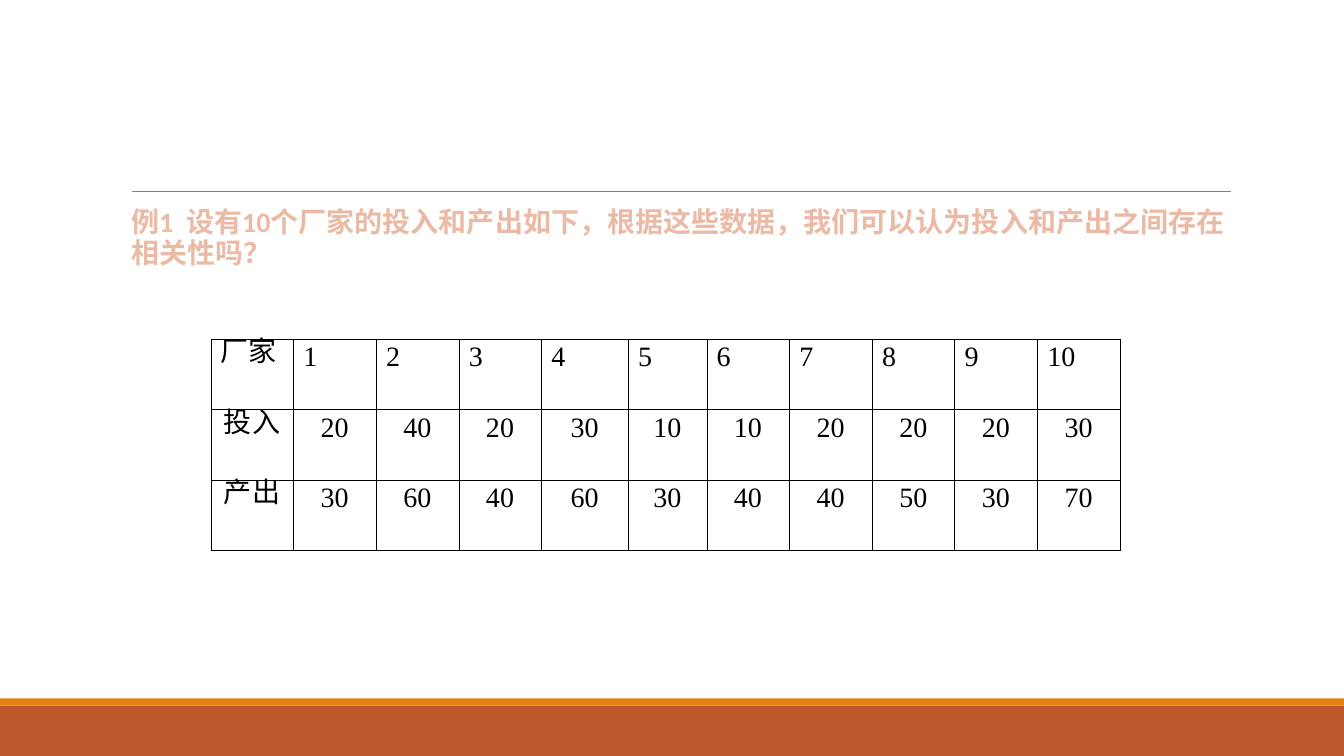
import dataclasses

import lxml.etree
import pptx
import pptx.dml.color
import pptx.enum.shapes
import pptx.enum.text
import pptx.oxml.ns
import pptx.util

Inches, Pt = pptx.util.Inches, pptx.util.Pt
qn = pptx.oxml.ns.qn
ALIGN = pptx.enum.text.PP_ALIGN


@dataclasses.dataclass(frozen=True)
class Theme:
    band: str = "BD582C"
    accent: str = "E48312"
    rule: str = "808080"
    question: str = "EABAA5"
    ink: str = "000000"
    size: float = 20
    body_font: str = "Calibri"
    chinese_font: str = "Noto Sans CJK SC"
    number_font: str = "Times New Roman"


THEME = Theme()

QUESTION = "例1  设有10个厂家的投入和产出如下，根据这些数据，我们可以认为投入和产出之间存在相关性吗？"
FACTORY_DATA = {
    "厂家": range(1, 11),
    "投入": [20, 40, 20, 30, 10, 10, 20, 20, 20, 30],
    "产出": [30, 60, 40, 60, 30, 40, 40, 50, 30, 70],
}
COLUMN_WIDTHS = [0.82] * 4 + [0.86, 0.78] + [0.82] * 5
ROW_HEIGHT = 0.7


def rgb(value):
    return pptx.dml.color.RGBColor.from_string(value)


def add_solid(parent, color):
    fill = lxml.etree.SubElement(parent, qn("a:solidFill"))
    lxml.etree.SubElement(fill, qn("a:srgbClr"), val=color)


def write(frame, text, font=THEME.body_font, color=THEME.ink, bold=False,
          align=ALIGN.LEFT, line=1.0, before=0, after=0):
    """Fill the first paragraph of a text frame and return it."""
    paragraph = frame.paragraphs[0]
    paragraph.alignment = align
    paragraph.line_spacing = line
    paragraph.space_before, paragraph.space_after = Pt(before), Pt(after)
    run = paragraph.add_run()
    run.text = text
    run.font.name, run.font.size, run.font.bold = font, Pt(THEME.size), bold
    run.font.color.rgb = rgb(color)
    lxml.etree.SubElement(run.font._element, qn("a:ea"), typeface=THEME.chinese_font)
    return paragraph


def add_band(slide, left, top, width, height, color):
    band = slide.shapes.add_shape(
        pptx.enum.shapes.MSO_SHAPE.RECTANGLE,
        Inches(left), Inches(top), Inches(width), Inches(height))
    band.shadow.inherit = False
    band.fill.solid()
    band.fill.fore_color.rgb = rgb(color)
    band.line.fill.background()


def add_footer(slide, left, top, width, height):
    accent_height = 0.07
    add_band(slide, left, top + accent_height, width, height - accent_height, THEME.band)
    add_band(slide, left, top, width, accent_height, THEME.accent)


def add_rule(slide, left, top, width):
    rule = slide.shapes.add_connector(
        pptx.enum.shapes.MSO_CONNECTOR.STRAIGHT,
        Inches(left), Inches(top), Inches(left + width), Inches(top))
    rule.line.color.rgb = rgb(THEME.rule)
    rule.line.width = Pt(0.5)
    lxml.etree.SubElement(rule._element.spPr, qn("a:effectLst"))


def place_question(slide, left, top, width, height):
    body = slide.placeholders[1]
    body.left, body.top = Inches(left), Inches(top)
    body.width, body.height = Inches(width), Inches(height)
    frame = body.text_frame
    frame.word_wrap = True
    frame.auto_size = pptx.enum.text.MSO_AUTO_SIZE.NONE
    frame.vertical_anchor = pptx.enum.text.MSO_ANCHOR.TOP
    frame.margin_left = frame.margin_right = 0
    frame.margin_top = frame.margin_bottom = Inches(0.05)
    paragraph = write(frame, QUESTION, color=THEME.question, bold=True,
                      line=0.9, before=12, after=2)

    # Hanging indent with a blank bullet
    properties = paragraph._p.get_or_add_pPr()
    properties.set("marL", str(Inches(0.1)))
    properties.set("indent", str(-Inches(0.1)))
    bullet_color = lxml.etree.SubElement(properties, qn("a:buClr"))
    lxml.etree.SubElement(bullet_color, qn("a:srgbClr"), val=THEME.accent)
    lxml.etree.SubElement(properties, qn("a:buChar"), char=" ")

    # Letter outline
    outline = lxml.etree.Element(qn("a:ln"), w=str(Pt(1.75)))
    add_solid(outline, THEME.band)
    paragraph.runs[0].font._element.insert(0, outline)


def set_borders(cell):
    properties = cell._tc.get_or_add_tcPr()
    for index, side in enumerate(("a:lnL", "a:lnR", "a:lnT", "a:lnB")):
        border = lxml.etree.Element(qn(side), w=str(Pt(0.25)))
        add_solid(border, THEME.ink)
        properties.insert(index, border)


def add_factory_table(slide, left, top):
    table = slide.shapes.add_table(
        len(FACTORY_DATA), len(COLUMN_WIDTHS), Inches(left), Inches(top),
        Inches(sum(COLUMN_WIDTHS)), Inches(ROW_HEIGHT * len(FACTORY_DATA))).table
    table.first_row = table.horz_banding = False
    for column, width in zip(table.columns, COLUMN_WIDTHS):
        column.width = Inches(width)
    for row_index, (label, values) in enumerate(FACTORY_DATA.items()):
        table.rows[row_index].height = Inches(ROW_HEIGHT)
        is_header = row_index == 0
        for column_index, value in enumerate([label, *values]):
            cell = table.cell(row_index, column_index)
            cell.margin_left = Inches(0.1 if is_header else 0)
            cell.margin_top = Inches(0.03)
            cell.margin_right = cell.margin_bottom = 0
            cell.fill.background()
            set_borders(cell)
            is_label = column_index == 0
            write(cell.text_frame, str(value),
                  font=THEME.chinese_font if is_label else THEME.number_font,
                  align=ALIGN.LEFT if is_header else ALIGN.CENTER,
                  line=Pt(20 if is_label else 22.1),
                  before=6.5 if is_label else 5.2)


def main():
    deck = pptx.Presentation()
    deck.slide_width, deck.slide_height = Inches(13.33), Inches(7.5)
    slide = deck.slides.add_slide(deck.slide_layouts[1])
    title = slide.shapes.title._element
    title.getparent().remove(title)

    add_footer(slide, 0, 6.93, 13.33, 0.57)
    add_rule(slide, 1.31, 1.9, 10.9)
    place_question(slide, 1.2, 2.02, 11, 0.86)
    add_factory_table(slide, 2.09, 3.36)
    deck.save("out.pptx")


if __name__ == "__main__":
    main()
